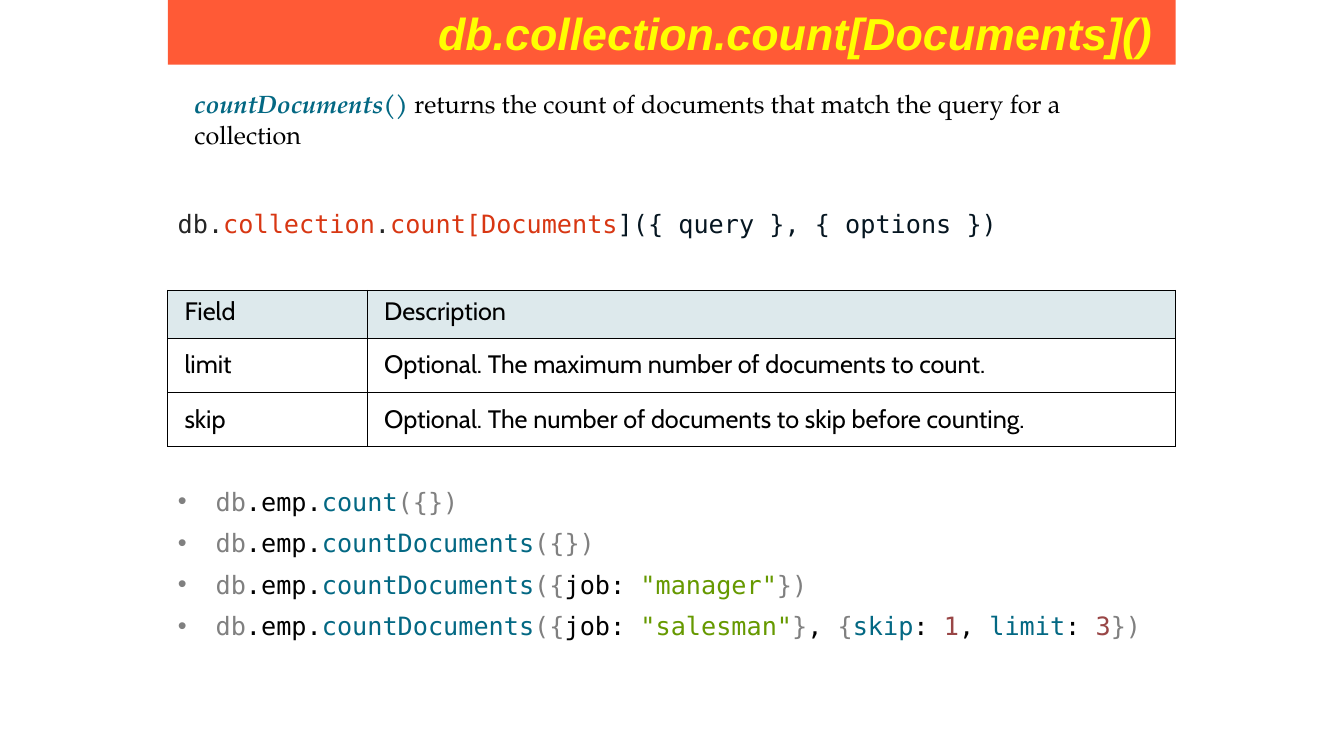
from dataclasses import dataclass

from lxml.etree import SubElement
from pptx import Presentation
from pptx.dml.color import RGBColor as RGB
from pptx.enum.text import MSO_ANCHOR as Anchor, MSO_AUTO_SIZE as AutoSize, PP_ALIGN as Align
from pptx.oxml.ns import qn
from pptx.util import Cm, Pt

COLORS = {
    "banner": "FF5A36", "title": "FFFF00", "black": "000000",
    "dark": "262626", "red": "D83713", "navy": "061621",
    "gray": "808080", "teal": "036883", "green": "669900",
    "number": "994646", "header": "DDE9EC",
}
MONO, SERIF, TABLE_FONT = "DejaVu Sans Mono", "TeX Gyre Pagella", "Cabin"
LEFT, WIDTH = 4.23, 25.4


@dataclass
class Span:
    text: str
    color: str
    strong: bool = False


@dataclass
class Row:
    cells: tuple[str, str]
    height: float
    top_margin: float
    fill: str | None = None


def color(name: str) -> RGB:
    return RGB.from_string(COLORS[name])


def place(sp, left: float, top: float, width: float, height: float) -> None:
    sp.left, sp.top, sp.width, sp.height = Cm(left), Cm(top), Cm(width), Cm(height)


def style(r, font: str, size: float, name: str, strong: bool = False) -> None:
    r.font.name, r.font.size = font, Pt(size)
    r.font.color.rgb = color(name)
    r.font.bold = r.font.italic = strong


def add_spans(p, spans: list[Span], font: str) -> None:
    for span in spans:
        r = p.add_run()
        r.text = span.text
        style(r, font, 18, span.color, span.strong)


def add_text(slide, left: float, top: float, width: float, height: float,
             spans: list[Span], font: str) -> None:
    tf = slide.shapes.add_textbox(Cm(left), Cm(top), Cm(width), Cm(height)).text_frame
    tf.word_wrap = True
    add_spans(tf.paragraphs[0], spans, font)


def set_borders(cell) -> None:
    tc_pr = cell._tc.get_or_add_tcPr()
    for side in ("lnL", "lnR", "lnT", "lnB"):
        ln = SubElement(tc_pr, qn(f"a:{side}"), w=str(Pt(1)))
        fill = SubElement(ln, qn("a:solidFill"))
        SubElement(fill, qn("a:srgbClr"), val=COLORS["black"])


def add_field_table(slide, rows: list[Row]) -> None:
    height = sum(row.height for row in rows)
    table = slide.shapes.add_table(
        len(rows), 2, Cm(LEFT), Cm(7.32), Cm(WIDTH), Cm(height)).table
    table.first_row = table.horz_banding = False
    for column, width in zip(table.columns, (5.03, 20.37)):
        column.width = Cm(width)
    for i, row in enumerate(rows):
        table.rows[i].height = Cm(row.height)
        for cell, text in zip(table.rows[i].cells, row.cells):
            cell.text_frame.text = text
            style(cell.text_frame.paragraphs[0].runs[0], TABLE_FONT, 18, "black")
            cell.vertical_anchor = Anchor.MIDDLE
            cell.margin_left, cell.margin_right = Cm(0.42), Cm(0.13)
            cell.margin_top, cell.margin_bottom = Cm(row.top_margin), Cm(0.3)
            set_borders(cell)
            if row.fill:
                cell.fill.solid()
                cell.fill.fore_color.rgb = color(row.fill)
            else:
                cell.fill.background()


def add_bullet(p, spans: list[Span]) -> None:
    p.space_before, p.space_after = Pt(0), Pt(8)
    p_pr = p._p.get_or_add_pPr()
    p_pr.set("marL", str(Cm(0.95)))
    p_pr.set("indent", str(-Cm(0.95)))
    SubElement(p_pr, qn("a:buFont"), typeface="Arial")
    SubElement(p_pr, qn("a:buChar"), char="•")
    add_spans(p, spans, MONO)


def call(method: str, *arguments: Span) -> list[Span]:
    opening = [Span("db", "gray"), Span(".emp.", "black"), Span(method, "teal")]
    if not arguments:
        return opening + [Span("({})", "gray")]
    return opening + [Span("({", "gray"), Span("job: ", "black"), *arguments,
                      Span("})", "gray")]


SUMMARY = [
    Span("countDocuments()", "teal", True),
    Span(" returns the count of documents that match the query for a collection", "black"),
]
SYNTAX = [
    Span("db.", "dark"), Span("collection", "red"), Span(".", "dark"),
    Span("count[Documents", "red"), Span("]({ query }, { options })", "navy"),
]
FIELDS = [
    Row(("Field", "Description"), 1.2, 0.13, "header"),
    Row(("limit", "Optional. The maximum number of documents to count."), 1.37, 0.28),
    Row(("skip", "Optional. The number of documents to skip before counting."), 1.37, 0.28),
]
EXAMPLES = [
    call("count"),
    call("countDocuments"),
    call("countDocuments", Span('"manager"', "green")),
    call("countDocuments", Span('"salesman"', "green"), Span("}", "gray"),
         Span(", ", "black"), Span("{", "gray"),
         Span("skip", "teal"), Span(": ", "black"), Span("1", "number"),
         Span(", ", "black"),
         Span("limit", "teal"), Span(": ", "black"), Span("3", "number")),
]


def main() -> None:
    prs = Presentation()
    prs.slide_width, prs.slide_height = Cm(33.87), Cm(19.05)
    slide = prs.slides.add_slide(prs.slide_layouts[1])

    # Title banner
    title = slide.shapes.title
    place(title, LEFT, 0, WIDTH, 1.63)
    title.fill.solid()
    title.fill.fore_color.rgb = color("banner")
    tf = title.text_frame
    tf.text = "db.collection.count[Documents]()"
    tf.auto_size, tf.vertical_anchor = AutoSize.NONE, Anchor.MIDDLE
    tf.margin_right = Cm(0.57)
    tf.paragraphs[0].alignment = Align.RIGHT
    style(tf.paragraphs[0].runs[0], "Arial", 32, "title", True)

    # Summary and syntax
    add_text(slide, 4.65, 2.11, 24.56, 1.8, SUMMARY, SERIF)
    add_text(slide, LEFT, 5.13, WIDTH, 1.02, SYNTAX, MONO)

    # Option fields
    add_field_table(slide, FIELDS)

    # Example calls
    body = slide.placeholders[1]
    place(body, LEFT, 12.12, WIDTH, 4.11)
    tf = body.text_frame
    tf.auto_size, tf.vertical_anchor = AutoSize.NONE, Anchor.TOP
    for i, spans in enumerate(EXAMPLES):
        add_bullet(tf.add_paragraph() if i else tf.paragraphs[0], spans)

    prs.save("out.pptx")


if __name__ == "__main__":
    main()
